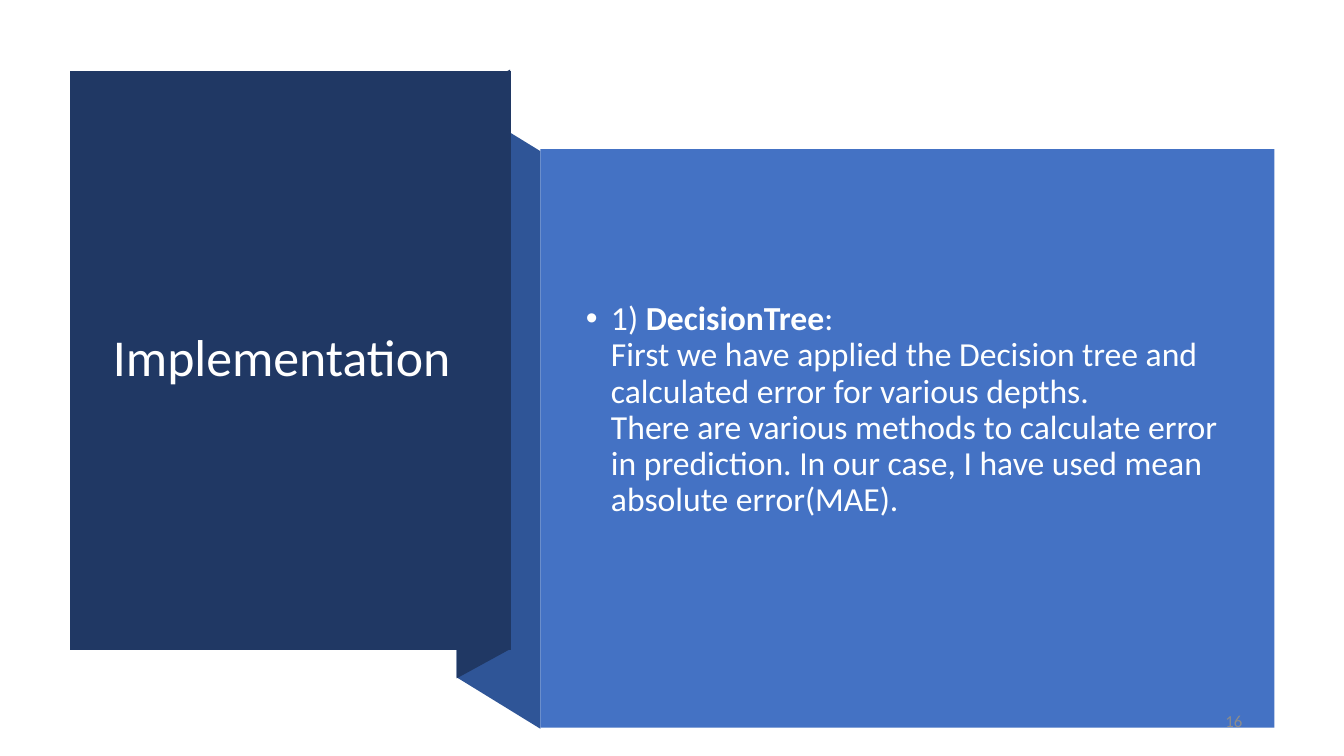
from dataclasses import dataclass

from lxml import etree
from pptx import Presentation
from pptx.dml.color import RGBColor
from pptx.enum.text import MSO_ANCHOR, MSO_AUTO_SIZE, PP_ALIGN
from pptx.enum.shapes import MSO_SHAPE
from pptx.oxml.ns import qn
from pptx.util import Emu, Pt

PX = 9144
LEFT = PP_ALIGN.LEFT
RIGHT = PP_ALIGN.RIGHT
MIDDLE = MSO_ANCHOR.MIDDLE
NO_FIT = MSO_AUTO_SIZE.NONE
RECT = MSO_SHAPE.RECTANGLE


@dataclass(frozen=True)
class Theme:
    font: str = "Calibri"
    dark: str = "203864"
    fold: str = "2F5597"
    panel: str = "4472C4"
    white: str = "FFFFFF"
    pale: str = "FEFFFF"
    gray: str = "8C8C8C"
    title: int = 37
    body: int = 24
    number: int = 12


@dataclass(frozen=True)
class Box:
    left: int
    top: int
    width: int
    height: int

    def emu(self) -> list[Emu]:
        return [Emu(n * PX) for n in (self.left, self.top, self.width, self.height)]


@dataclass(frozen=True)
class Face:
    points: tuple[tuple[int, int], ...]
    color: str


@dataclass(frozen=True)
class Part:
    text: str
    bold: bool = False


THEME = Theme()
FACES = (
    Face(((536, 723), (453, 672), (453, 99), (536, 150)), THEME.fold),
    Face(((506, 644), (453, 673), (453, 98), (506, 69)), THEME.dark),
    Face(((69, 70), (507, 70), (507, 645), (69, 645)), THEME.dark),
)
PANEL = Box(536, 148, 728, 574)
TITLE = Box(102, 107, 371, 499)
BODY = Box(571, 188, 651, 474)
NUMBER = Box(942, 695, 300, 40)
BODY_FOOT = 41
INDENT = 25
STEPS = (
    Part("1)"),
    Part(" DecisionTree", bold=True),
    Part(
        ":\nFirst we have applied the Decision tree and calculated error for various depths."
        "\nThere are various methods to calculate error in prediction. "
        "In our case, I have used mean absolute error(MAE)."
    ),
)


def paint(shape, color: str) -> None:
    shape.shadow.inherit = False
    shape.fill.solid()
    shape.fill.fore_color.rgb = RGBColor.from_string(color)
    shape.line.fill.background()


def draw_face(shapes, face: Face) -> None:
    start, *rest = face.points
    pen = shapes.build_freeform(*start, scale=PX)
    pen.add_line_segments(rest, close=True)
    paint(pen.convert_to_shape(), face.color)


def place(shapes, shape, box: Box) -> None:
    shape.left, shape.top, shape.width, shape.height = box.emu()
    shapes._spTree.append(shape._element)


def add_bullet(para) -> None:
    props = para._p.get_or_add_pPr()
    props.set("marL", str(INDENT * PX))
    props.set("indent", str(-INDENT * PX))
    etree.SubElement(props, qn("a:buFont")).set("typeface", "Arial")
    etree.SubElement(props, qn("a:buChar")).set("char", "•")


def write(shape, parts: tuple[Part, ...], *, size: int, color: str,
          align: PP_ALIGN = LEFT, spacing: float = 1.0,
          bullet: bool = False, foot: int = 5) -> None:
    frame = shape.text_frame
    frame.word_wrap = True
    frame.auto_size = NO_FIT
    frame.vertical_anchor = MIDDLE
    frame.margin_bottom = Emu(foot * PX)
    para = frame.paragraphs[0]
    if bullet:
        add_bullet(para)
    para.alignment = align
    para.line_spacing = spacing
    para.space_before = Pt(0)
    for part in parts:
        for row, line in enumerate(part.text.split("\n")):
            if row:
                para.add_line_break()
            run = para.add_run()
            run.text = line
            run.font.name = THEME.font
            run.font.size = Pt(size)
            run.font.bold = part.bold
            run.font.color.rgb = RGBColor.from_string(color)


def main() -> None:
    deck = Presentation()
    deck.slide_width, deck.slide_height = Emu(1333 * PX), Emu(750 * PX)
    slide = deck.slides.add_slide(deck.slide_layouts[1])
    shapes = slide.shapes
    title, body = shapes.title, slide.placeholders[1]

    for face in FACES:
        draw_face(shapes, face)
    place(shapes, title, TITLE)
    write(title, (Part("Implementation"),), size=THEME.title,
          color=THEME.white, spacing=0.9)

    paint(shapes.add_shape(RECT, *PANEL.emu()), THEME.panel)
    place(shapes, body, BODY)
    write(body, STEPS, size=THEME.body, color=THEME.pale, spacing=0.9,
          bullet=True, foot=BODY_FOOT)

    write(shapes.add_textbox(*NUMBER.emu()), (Part("16"),), size=THEME.number,
          color=THEME.gray, align=RIGHT)
    deck.save("out.pptx")


if __name__ == "__main__":
    main()
